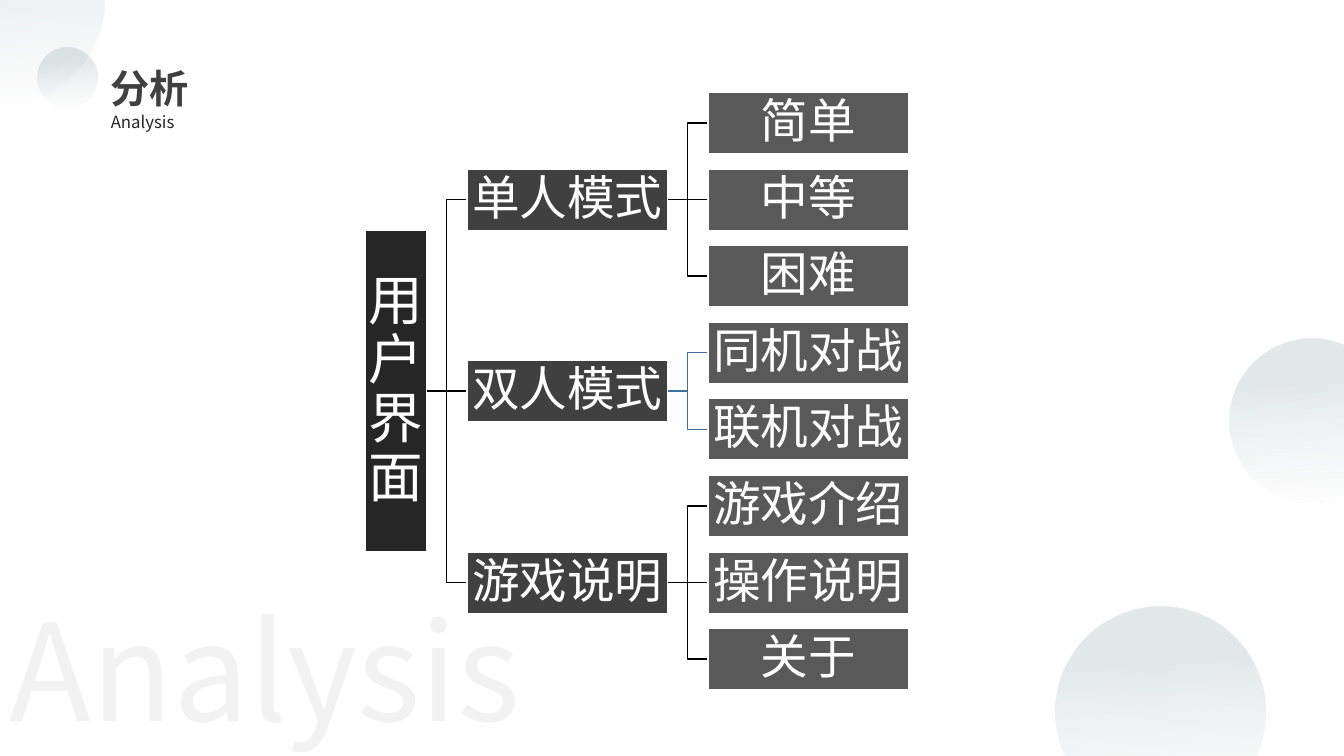
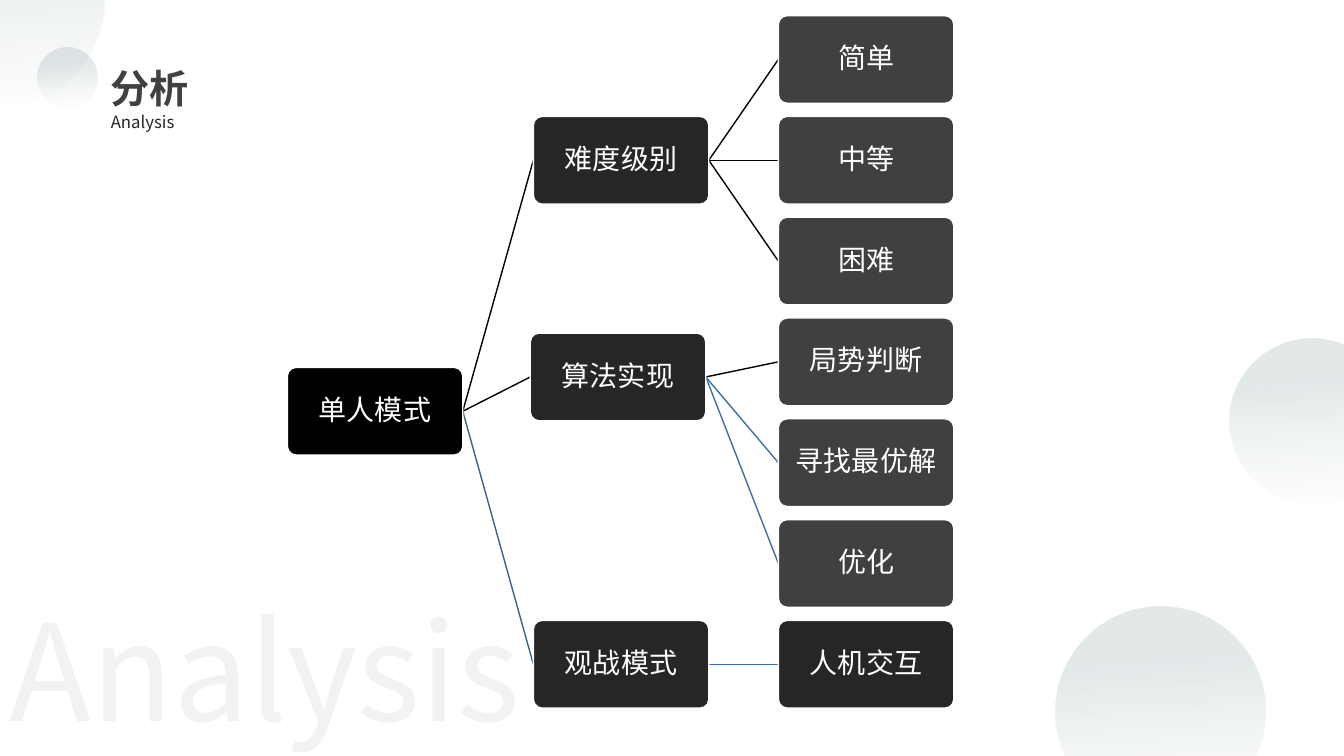
"""Build two analysis slides, each with a tree diagram that branches to the right."""
import dataclasses
import typing

import lxml.etree
import pptx
import pptx.dml.color
import pptx.enum.shapes
import pptx.enum.text
import pptx.oxml.ns
import pptx.util

RGBColor = pptx.dml.color.RGBColor
Inches = pptx.util.Inches
Shape = pptx.enum.shapes.MSO_SHAPE
Connector = pptx.enum.shapes.MSO_CONNECTOR
Align = pptx.enum.text.PP_ALIGN
Anchor = pptx.enum.text.MSO_ANCHOR
qn = pptx.oxml.ns.qn

BLACK = RGBColor(0x00, 0x00, 0x00)
INK = RGBColor(0x26, 0x26, 0x26)
CHARCOAL = RGBColor(0x40, 0x40, 0x40)
GRAY = RGBColor(0x59, 0x59, 0x59)
PALE = RGBColor(0xF2, 0xF2, 0xF2)
WHITE = RGBColor(0xFF, 0xFF, 0xFF)
TEAL = RGBColor(0x3D, 0x63, 0x6A)
BLUE = RGBColor(0x40, 0x6F, 0xA1)
DARK_BLUE = RGBColor(0x39, 0x62, 0x8E)

HEADING_FONT = "Noto Sans CJK SC"
NODE_FONT = "Calibri"

CIRCLES = [(-1.04, -1.04, 2.08), (0.37, 0.47, 0.6), (10.47, 6.02, 2.08), (12.2, 3.36, 1.63)]
CIRCLE_STOPS = [(0.28, TEAL, 14), (1.0, WHITE, 11)]
CIRCLE_ANGLE = 86
HEADINGS = [
    ("分析", (1, 0.59, 3.19, 0.57), 28, CHARCOAL, True, True),
    ("Analysis", (1, 1.06, 0.85, 0.3), 12, INK, False, False),
    ("Analysis", (0, 5.78, 5.4, 1.72), 96, PALE, False, False),
]


@dataclasses.dataclass
class Node:
    text: str
    children: typing.Sequence = ()
    link: RGBColor = BLACK
    row: typing.Optional[float] = None
    fill: typing.Optional[RGBColor] = None
    shift: float = 0


@dataclasses.dataclass
class Level:
    left: float
    width: float
    height: float
    fill: RGBColor
    size: float


@dataclasses.dataclass
class Tree:
    root: Node
    levels: typing.Sequence
    first_row: float
    row_pitch: float
    box: typing.Any
    bent: bool


INTERFACE = Tree(
    root=Node("用户界面", [
        Node("单人模式", [Node("简单"), Node("中等"), Node("困难")]),
        Node("双人模式", [Node("同机对战", link=BLUE), Node("联机对战", link=BLUE)]),
        Node("游戏说明", [Node("游戏介绍"), Node("操作说明"), Node("关于")]),
    ]),
    levels=[
        Level(3.62, 0.61, 3.19, INK, 39),
        Level(4.63, 1.99, 0.61, CHARCOAL, 34),
        Level(7.02, 1.99, 0.61, GRAY, 34),
    ],
    first_row=1.22, row_pitch=0.76, box=Shape.RECTANGLE, bent=True,
)
SINGLE_PLAYER = Tree(
    root=Node("单人模式", [
        Node("难度级别", [Node("简单"), Node("中等"), Node("困难")]),
        Node("算法实现", [
            Node("局势判断"),
            Node("寻找最优解", link=BLUE),
            Node("优化", link=BLUE),
        ], row=3.15, shift=-0.03),
        Node("观战模式", [Node("人机交互", link=BLUE, fill=INK)], link=DARK_BLUE),
    ], row=3.49),
    levels=[
        Level(2.85, 1.74, 0.87, BLACK, 20),
        Level(5.29, 1.74, 0.87, INK, 20),
        Level(7.72, 1.74, 0.87, CHARCOAL, 20),
    ],
    first_row=0.59, row_pitch=1, box=Shape.ROUNDED_RECTANGLE, bent=False,
)


def add_run(paragraph, text, font_name, size, color, bold=False):
    run = paragraph.add_run()
    run.text = text
    run.font.name = font_name
    run.font.size = pptx.util.Pt(size)
    run.font.bold = bold
    run.font.color.rgb = color
    east_asian = lxml.etree.Element(qn("a:ea"), typeface=font_name)
    run.font._element.find(qn("a:latin")).addnext(east_asian)


def add_circle(slide, left, top, diameter):
    circle = slide.shapes.add_shape(Shape.OVAL, *map(Inches, (left, top, diameter, diameter)))
    circle.shadow.inherit = False
    circle.line.fill.background()
    circle.fill.gradient()
    circle.fill.gradient_angle = 360 - CIRCLE_ANGLE
    for stop, (position, color, opacity) in zip(circle.fill.gradient_stops, CIRCLE_STOPS):
        stop.position = position
        stop.color.rgb = color
    colors = circle._element.spPr.iter(qn("a:srgbClr"))
    for element, (position, color, opacity) in zip(colors, CIRCLE_STOPS):
        lxml.etree.SubElement(element, qn("a:alpha"), val=str(opacity * 1000))


def add_background_and_headings(slide):
    for circle in CIRCLES:
        add_circle(slide, *circle)
    for text, place, size, color, bold, wrap in HEADINGS:
        frame = slide.shapes.add_textbox(*map(Inches, place)).text_frame
        frame.word_wrap = wrap
        add_run(frame.paragraphs[0], text, HEADING_FONT, size, color, bold)


def place_nodes(tree):
    """Return (node, level, left, middle, parent index) for every node, parents first."""
    placed = []
    leaf_count = 0

    def visit(node, depth, parent):
        nonlocal leaf_count
        index = len(placed)
        placed.append(None)
        rows = [visit(child, depth + 1, index) for child in node.children]
        if not rows:
            rows = [leaf_count]
            leaf_count += 1
        row = (rows[0] + rows[-1]) / 2 if node.row is None else node.row
        level = tree.levels[depth]
        middle = tree.first_row + row * tree.row_pitch
        placed[index] = (node, level, level.left + node.shift, middle, parent)
        return row

    visit(tree.root, 0, None)
    return placed


def add_link(slide, start, end, color, bent):
    kind = Connector.ELBOW if bent and abs(start[1] - end[1]) > 0.01 else Connector.STRAIGHT
    connector = slide.shapes.add_connector(kind, *map(Inches, start + end))
    connector.line.color.rgb = color
    connector.line.width = pptx.util.Pt(1)
    lxml.etree.SubElement(connector._element.spPr, qn("a:effectLst"))


def add_node(slide, tree, node, level, left, middle):
    place = (left, middle - level.height / 2, level.width, level.height)
    box = slide.shapes.add_shape(tree.box, *map(Inches, place))
    if tree.box == Shape.ROUNDED_RECTANGLE:
        box.adjustments[0] = 0.1
    box.shadow.inherit = False
    box.fill.solid()
    box.fill.fore_color.rgb = node.fill or level.fill
    box.line.color.rgb = WHITE
    box.line.width = pptx.util.Pt(1)
    frame = box.text_frame
    frame.word_wrap = True
    frame.vertical_anchor = Anchor.MIDDLE
    frame.margin_left = frame.margin_right = Inches(0.02)
    frame.margin_top = frame.margin_bottom = Inches(0.02)
    paragraph = frame.paragraphs[0]
    paragraph.alignment = Align.CENTER
    paragraph.line_spacing = 0.9
    add_run(paragraph, node.text, NODE_FONT, level.size, WHITE)


def add_tree(slide, tree):
    placed = place_nodes(tree)
    for node, level, left, middle, parent in placed[1:]:
        _, parent_level, parent_left, parent_middle, _ = placed[parent]
        start = (parent_left + parent_level.width, parent_middle)
        add_link(slide, start, (left, middle), node.link, tree.bent)
    for node, level, left, middle, _ in placed:
        add_node(slide, tree, node, level, left, middle)


def main():
    presentation = pptx.Presentation()
    presentation.slide_width = Inches(13.33)
    presentation.slide_height = Inches(7.5)
    for tree in (INTERFACE, SINGLE_PLAYER):
        slide = presentation.slides.add_slide(presentation.slide_layouts[6])
        add_background_and_headings(slide)
        add_tree(slide, tree)
    presentation.save("out.pptx")


if __name__ == "__main__":
    main()
